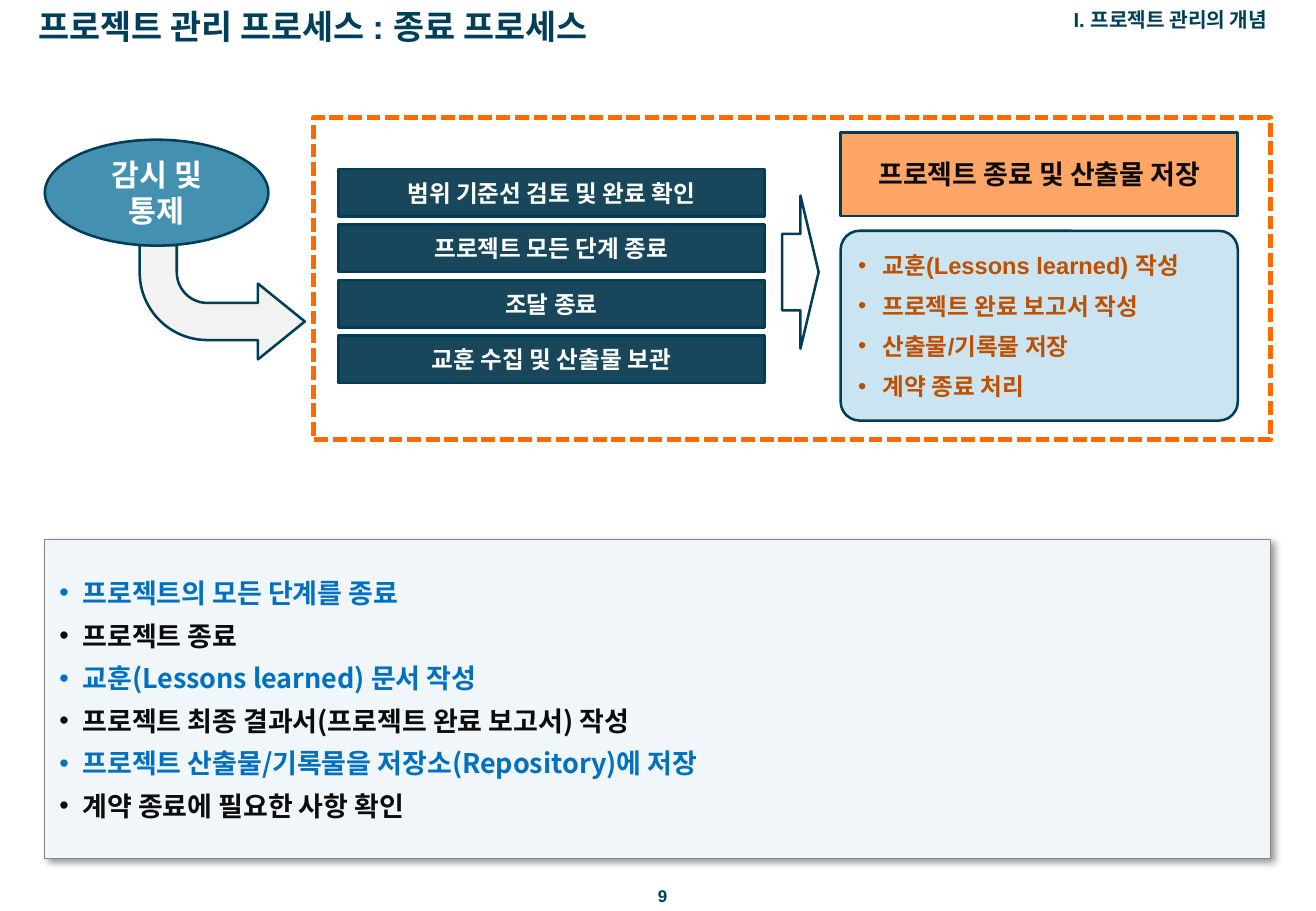
from dataclasses import dataclass
from typing import Optional

from lxml import etree
from pptx import Presentation
from pptx import util as u
from pptx.dml.color import RGBColor
from pptx.enum import dml, shapes, text
from pptx.oxml import ns

COLORS = {
    "navy": "003F59", "outline": "003E57", "step": "18475C", "ellipse": "4390B1",
    "arrow": "F2F2F2", "orange": "FFA666", "dash": "FF6A00", "pale": "CAE4F1",
    "rust": "BF5000", "panel": "F0F6F9", "gray": "868686", "blue": "0070C0",
    "black": "0C0C0C", "white": "FFFFFF",
}
ARIAL = "Arial"
KOREAN = "Noto Sans CJK KR"
KIND = shapes.MSO_SHAPE
ALIGN = text.PP_ALIGN


@dataclass(frozen=True)
class Box:
    left: float
    top: float
    width: float
    height: float

    def lengths(self) -> list:
        return [u.Pt(value) for value in (self.left, self.top, self.width, self.height)]


@dataclass(frozen=True)
class Block:
    box: Box
    kind: KIND
    fill: Optional[str] = None
    line: str = "outline"
    weight: float = 1.5
    adjustments: tuple = ()
    rotation: float = 0


@dataclass(frozen=True)
class Label:
    box: Box
    words: str
    size: float
    align: ALIGN
    margin: float = 7.2
    wrap: bool = True


def draw_block(slide, block: Block):
    shape = slide.shapes.add_shape(block.kind, *block.box.lengths())
    shape.shadow.inherit = False
    shape.rotation = block.rotation
    for index, value in enumerate(block.adjustments):
        shape.adjustments[index] = value
    if block.fill:
        shape.fill.solid()
        shape.fill.fore_color.rgb = RGBColor.from_string(COLORS[block.fill])
    else:
        shape.fill.background()
    shape.line.color.rgb = RGBColor.from_string(COLORS[block.line])
    shape.line.width = u.Pt(block.weight)
    return shape


def write_text(shape, lines, *, size, colors, font=ARIAL, align=ALIGN.CENTER,
               anchor=text.MSO_ANCHOR.MIDDLE, margins=(7.2, 3.6), before=0.0,
               bullet_indent=0.0, wrap=True) -> None:
    frame = shape.text_frame
    frame.word_wrap = wrap
    frame.vertical_anchor = anchor
    frame.margin_left = frame.margin_right = u.Pt(margins[0])
    frame.margin_top = frame.margin_bottom = u.Pt(margins[1])
    for index, words in enumerate(lines):
        paragraph = frame.add_paragraph() if index else frame.paragraphs[0]
        paragraph.alignment = align
        paragraph.space_before = u.Pt(before)
        if bullet_indent:
            add_bullet(paragraph, bullet_indent)
        run = paragraph.add_run()
        run.text = words
        run.font.size = u.Pt(size)
        run.font.bold = True
        run.font.name = font
        run.font.color.rgb = RGBColor.from_string(COLORS[colors[index % len(colors)]])
        east_asian = etree.SubElement(run.font._element, ns.qn("a:ea"))
        east_asian.set("typeface", KOREAN)


def add_bullet(paragraph, indent: float) -> None:
    properties = paragraph._p.get_or_add_pPr()
    properties.set("marL", str(u.Pt(indent)))
    properties.set("indent", str(-u.Pt(indent)))
    etree.SubElement(properties, ns.qn("a:buFont")).set("typeface", ARIAL)
    etree.SubElement(properties, ns.qn("a:buChar")).set("char", "•")


def add_shadow(shape) -> None:
    effects = shape._element.spPr.find(ns.qn("a:effectLst"))
    shadow = etree.SubElement(effects, ns.qn("a:outerShdw"), blurRad=str(u.Pt(4)),
                              dist=str(u.Pt(3)), dir="2700000", algn="tl", rotWithShape="0")
    color = etree.SubElement(shadow, ns.qn("a:srgbClr"), val="000000")
    etree.SubElement(color, ns.qn("a:alpha"), val="40000")


def draw_label(slide, label: Label) -> None:
    shape = slide.shapes.add_textbox(*label.box.lengths())
    write_text(shape, [label.words], size=label.size, colors=["navy"], align=label.align,
               anchor=text.MSO_ANCHOR.TOP, margins=(label.margin, 0), wrap=label.wrap)


LABELS = [
    Label(Box(386.6, 524.9, 12.2, 12.2), "9", 10, ALIGN.CENTER, 0, False),
    Label(Box(15.8, 3.6, 479.5, 24.5), "프로젝트 관리 프로세스 : 종료 프로세스", 20, ALIGN.LEFT),
    Label(Box(466.6, 4.3, 291.6, 14.4), "I. 프로젝트 관리의 개념", 12, ALIGN.RIGHT),
]
STEPS = ["범위 기준선 검토 및 완료 확인", "프로젝트 모든 단계 종료", "조달 종료",
         "교훈 수집 및 산출물 보관"]
OUTPUTS = ["교훈(Lessons learned) 작성", "프로젝트 완료 보고서 작성", "산출물/기록물 저장",
           "계약 종료 처리"]
SUMMARY = ["프로젝트의 모든 단계를 종료", "프로젝트 종료", "교훈(Lessons learned) 문서 작성",
           "프로젝트 최종 결과서(프로젝트 완료 보고서) 작성",
           "프로젝트 산출물/기록물을 저장소(Repository)에 저장", "계약 종료에 필요한 사항 확인"]


def main() -> None:
    presentation = Presentation()
    presentation.slide_width = u.Pt(780)
    presentation.slide_height = u.Pt(540)
    slide = presentation.slides.add_slide(presentation.slide_layouts[6])

    for label in LABELS:
        draw_label(slide, label)

    summary = draw_block(slide, Block(Box(26.6, 319.7, 726.5, 189.4), KIND.RECTANGLE,
                                      "panel", "gray", 0.75))
    add_shadow(summary)
    write_text(summary, SUMMARY, size=16, colors=["blue", "black"], font=KOREAN,
               align=ALIGN.LEFT, margins=(8.64, 5.76), before=6, bullet_indent=13.7)

    outputs = draw_block(slide, Block(Box(498.3, 136.8, 235.4, 112.5), KIND.ROUNDED_RECTANGLE,
                                      "pale", adjustments=(0.1,)))
    write_text(outputs, OUTPUTS, size=14, colors=["rust"], align=ALIGN.LEFT, before=7,
               bullet_indent=14.4)

    heading = draw_block(slide, Block(Box(498.3, 78.5, 235.4, 49.5), KIND.RECTANGLE, "orange"))
    write_text(heading, ["프로젝트 종료 및 산출물 저장"], size=16, colors=["black"], font=KOREAN)

    draw_block(slide, Block(Box(429.1, 150.5, 90.7, 21.6), KIND.DOWN_ARROW, rotation=270))
    frame = draw_block(slide, Block(Box(185.8, 69.8, 567.4, 190.8), KIND.RECTANGLE,
                                    line="dash", weight=2.75))
    frame.line.dash_style = dml.MSO_LINE.SQUARE_DOT

    for index, words in enumerate(STEPS):
        step = draw_block(slide, Block(Box(200.5, 100.1 + 32.9 * index, 252.7, 28.4),
                                       KIND.RECTANGLE, "step"))
        write_text(step, [words], size=14, colors=["white"])

    arrow = draw_block(slide, Block(Box(82.8, 145.4, 97.9, 67.7), KIND.BENT_ARROW, "arrow",
                                    adjustments=(0.325, 0.332, 0.41, 0.593)))
    arrow._element.spPr.find(ns.qn("a:xfrm")).set("flipV", "1")

    control = draw_block(slide, Block(Box(26.6, 82.8, 132.5, 62.8), KIND.OVAL, "ellipse"))
    write_text(control, ["감시 및 통제"], size=18, colors=["white"])

    presentation.save("out.pptx")


if __name__ == "__main__":
    main()
